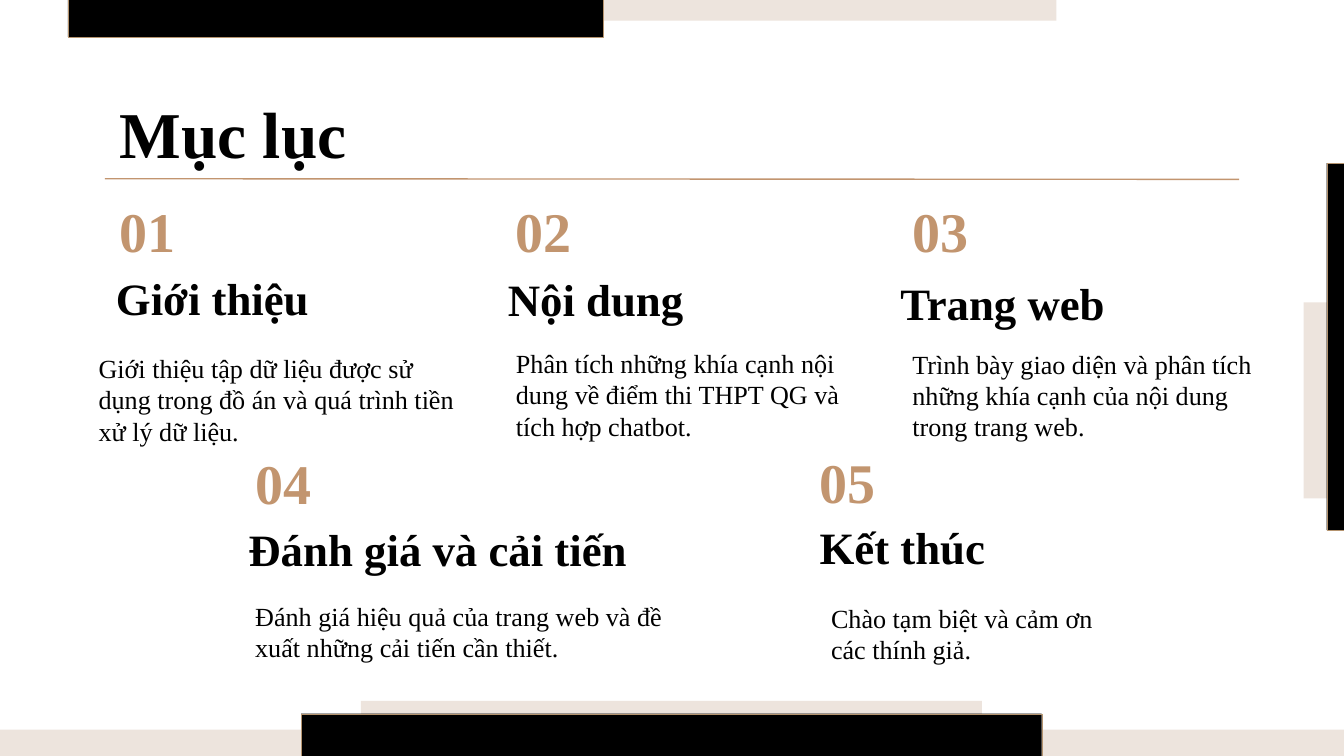
from dataclasses import dataclass

from lxml import etree
from pptx import Presentation
from pptx import util as u
from pptx.dml.color import RGBColor
from pptx.enum import shapes, text
from pptx.oxml.ns import qn

PX = 4572  # EMU per px, 200 px to the inch


@dataclass(frozen=True)
class Theme:
    font: str = "Times New Roman"
    ink: str = "000000"
    paper: str = "FFFFFF"
    sand: str = "EDE4DD"
    bronze: str = "C2956F"
    edge: str = "B5946F"
    title_size: int = 35
    number_size: int = 30
    heading_size: int = 24
    body_size: int = 14


THEME = Theme()

SAND_BANDS = [(384, -20, 1188, 51), (537, 1043, 924, 94),
              (-22, 1086, 2046, 46), (1940, 450, 96, 292)]
BLACK_BANDS = [(101, -12, 797, 67), (448, 1062, 1102, 66), (1974, 243, 82, 546)]

# Each entry: origin, heading, body, then the heading and body boxes
# (left, top, width, height) measured from the origin.
CONTENTS = [
    ((158, 294), "Giới thiệu",
     "Giới thiệu tập dữ liệu được sử dụng trong đồ án và quá trình tiền xử lý dữ liệu.",
     (-5, 111, 414, 98), (-31, 210, 592, 164)),
    ((748, 294), "Nội dung",
     "Phân tích những khía cạnh nội dung về điểm thi THPT QG và tích hợp chatbot.",
     (-12, 99, 540, 112), (0, 203, 530, 170)),
    ((1338, 294), "Trang web",
     "Trình bày giao diện và phân tích những khía cạnh của nội dung trong trang web.",
     (-18, 110, 636, 106), (0, 204, 598, 170)),
    ((360, 668), "Đánh giá và cải tiến",
     "Đánh giá hiệu quả của trang web và đề xuất những cải tiến cần thiết.",
     (-10, 113, 668, 96), (0, 205, 710, 188)),
    ((1200, 667), "Kết thúc",
     "Chào tạm biệt và cảm ơn các thính giả.",
     (0, 100, 504, 106), (17, 209, 488, 138)),
]


def emu(box):
    return [u.Emu(length * PX) for length in box]


def rgb(color):
    return RGBColor.from_string(color)


def write(shape, words, size, color, bold, anchor):
    frame = shape.text_frame
    frame.word_wrap = True
    frame.auto_size = text.MSO_AUTO_SIZE.NONE
    frame.vertical_anchor = anchor
    frame.margin_left = frame.margin_right = u.Emu(20 * PX)
    frame.margin_top = frame.margin_bottom = u.Emu(20 * PX)
    frame.text = words
    paragraph = frame.paragraphs[0]
    paragraph.alignment = text.PP_ALIGN.LEFT
    font = paragraph.font
    font.name, font.size, font.bold = THEME.font, u.Pt(size), bold
    font.color.rgb = rgb(color)


def add_band(slide, box, fill, edge=None):
    band = slide.shapes.add_shape(shapes.MSO_SHAPE.RECTANGLE, *emu(box))
    band.shadow.inherit = False
    band.fill.solid()
    band.fill.fore_color.rgb = rgb(fill)
    if edge:
        band.line.color.rgb = rgb(edge)
        band.line.width = u.Pt(0.02)
    else:
        band.line.fill.background()
    return band


def add_frame_bands(slide):
    for box in SAND_BANDS:
        add_band(slide, box, THEME.sand)
    for box in BLACK_BANDS:
        add_band(slide, box, THEME.ink, THEME.edge)


def add_title(slide, box):
    """Place the title and the thin rule beneath it."""
    left, top, width, height = box
    title = slide.shapes.title
    title.left, title.top, title.width, title.height = emu(box)
    write(title, "Mục lục", THEME.title_size, THEME.ink, True, text.MSO_ANCHOR.TOP)

    rule_top = top + height + 10
    rule = slide.shapes.add_connector(
        shapes.MSO_CONNECTOR.STRAIGHT,
        *emu((left - 2, rule_top, left + width, rule_top + 1)))
    rule.line.color.rgb = rgb(THEME.bronze)
    rule.line.width = u.Pt(0.75)
    etree.SubElement(rule._element.spPr, qn("a:effectLst"))


def add_entry(slide, number, origin, heading, body, heading_box, body_box):
    def place(box):
        left, top, width, height = box
        return origin[0] + left, origin[1] + top, width, height

    number_tile = add_band(slide, place((0, 0, 160, 98)), THEME.paper)
    write(number_tile, f"{number:02}", THEME.number_size, THEME.bronze, True,
          text.MSO_ANCHOR.MIDDLE)
    heading_text = slide.shapes.add_textbox(*emu(place(heading_box)))
    write(heading_text, heading, THEME.heading_size, THEME.ink, True,
          text.MSO_ANCHOR.BOTTOM)
    body_text = slide.shapes.add_textbox(*emu(place(body_box)))
    write(body_text, body, THEME.body_size, THEME.ink, False, text.MSO_ANCHOR.TOP)


def main():
    deck = Presentation()
    deck.slide_width, deck.slide_height = emu((2000, 1125))
    slide = deck.slides.add_slide(deck.slide_layouts[5])
    slide.background.fill.solid()
    slide.background.fill.fore_color.rgb = rgb(THEME.paper)
    add_frame_bands(slide)
    add_title(slide, (158, 118, 1686, 138))
    for number, entry in enumerate(CONTENTS, 1):
        add_entry(slide, number, *entry)
    deck.save("out.pptx")


if __name__ == "__main__":
    main()
